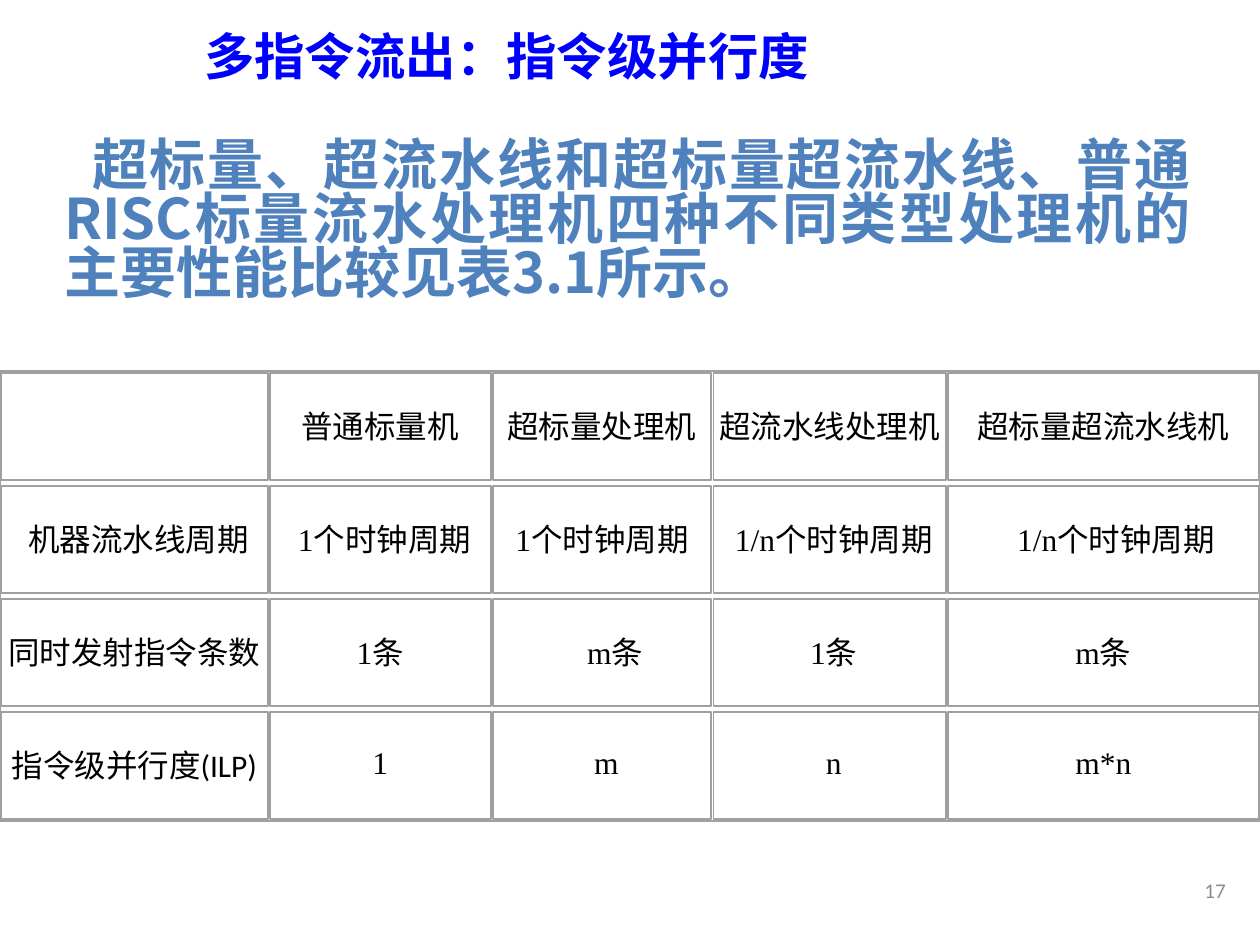
from dataclasses import dataclass
from itertools import accumulate

import pptx
from lxml import etree
from pptx import util as u
from pptx.dml.color import RGBColor
from pptx.enum import shapes, text
from pptx.oxml.ns import qn

COLORS = {
    "title": "0000FF",
    "body": "4F81BD",
    "cell": "000000",
    "border": "A0A0A0",
    "number": "8C8C8C",
}
CHINESE_FONT = "Noto Sans CJK SC"
COLUMN_WIDTHS = (153.5, 127.5, 126, 134, 179)
ROW_HEIGHT = 64.6
TABLE_TOP = 210.5


@dataclass
class Style:
    size: float
    color: str
    name: str = "Calibri"
    bold: bool = False


@dataclass
class Cell:
    chinese: str = ""
    latin: str = ""
    shift: float = 0


TITLE = Style(28.8, "title", bold=True)
BODY = Style(32, "body", CHINESE_FONT, True)
NUMBER = Style(12, "number")
LABEL = Style(18, "cell")
VALUE = Style(18, "cell", "Times New Roman")

ROWS = (
    (Cell(), Cell("普通标量机"), Cell("超标量处理机"), Cell("超流水线处理机"), Cell("超标量超流水线机")),
    (Cell("机器流水线周期", shift=5), Cell("个时钟周期", "1", 5), Cell("个时钟周期", "1"),
     Cell("个时钟周期", "1/n", 5), Cell("个时钟周期", "1/n", 14.5)),
    (Cell("同时发射指令条数"), Cell("条", "1"), Cell("条", "m", 15), Cell("条", "1", 5), Cell("条", "m")),
    (Cell("指令级并行度(ILP)"), Cell(latin="1"), Cell(latin="m", shift=5),
     Cell(latin="n", shift=5), Cell(latin="m*n")),
)


def set_all(target, values: dict) -> None:
    for name, value in values.items():
        setattr(target, name, value)


def add_span(para, words: str, style: Style) -> None:
    span = para.add_run()
    span.text = words
    set_all(span.font, {"size": u.Pt(style.size), "bold": style.bold, "name": style.name})
    span.font.color.rgb = RGBColor.from_string(COLORS[style.color])
    east_asian = etree.SubElement(span.font._element, qn("a:ea"))
    east_asian.set("typeface", CHINESE_FONT)


def fill_box(box, place: tuple, words: str, style: Style, align, anchor):
    set_all(box, dict(zip(("left", "top", "width", "height"), map(u.Pt, place))))
    set_all(box.text_frame, {
        "word_wrap": True,
        "auto_size": text.MSO_AUTO_SIZE.NONE,
        "vertical_anchor": anchor,
    })
    para = box.text_frame.paragraphs[0]
    para.alignment = align
    add_span(para, words, style)
    return para


def add_frame(page, left: float, top: float, width: float, height: float) -> None:
    frame = page.shapes.add_shape(
        shapes.MSO_SHAPE.RECTANGLE, *map(u.Pt, (left, top, width, height)))
    frame.shadow.inherit = False
    frame.fill.background()
    frame.line.color.rgb = RGBColor.from_string(COLORS["border"])
    frame.line.width = u.Pt(1)


def fill_cell(cell, content: Cell) -> None:
    set_all(cell, {
        "margin_left": u.Pt(content.shift),
        "margin_right": 0,
        "margin_top": u.Pt(3.6),
        "margin_bottom": u.Pt(3.6),
        "vertical_anchor": text.MSO_ANCHOR.MIDDLE,
    })
    for side in "LRTB":
        line = etree.SubElement(cell._tc.get_or_add_tcPr(), qn(f"a:ln{side}"))
        etree.SubElement(line, qn("a:noFill"))
    cell.fill.background()
    para = cell.text_frame.paragraphs[0]
    para.alignment = text.PP_ALIGN.CENTER
    for words, style in ((content.latin, VALUE), (content.chinese, LABEL)):
        if words:
            add_span(para, words, style)


def add_comparison(page) -> None:
    holder = page.shapes.add_table(
        len(ROWS), len(COLUMN_WIDTHS), 0, u.Pt(TABLE_TOP),
        u.Pt(sum(COLUMN_WIDTHS)), u.Pt(ROW_HEIGHT * len(ROWS)))
    table = holder.table
    set_all(table, {"first_row": False, "horz_banding": False})
    for column, width in zip(table.columns, COLUMN_WIDTHS):
        column.width = u.Pt(width)
    lefts = tuple(accumulate(COLUMN_WIDTHS, initial=0))
    for index, (row, contents) in enumerate(zip(table.rows, ROWS)):
        row.height = u.Pt(ROW_HEIGHT)
        top = TABLE_TOP + index * ROW_HEIGHT + 2.5
        for cell, content, left, width in zip(row.cells, contents, lefts, COLUMN_WIDTHS):
            fill_cell(cell, content)
            add_frame(page, left + 0.75, top, width - 1.25, ROW_HEIGHT - 3.4)
    add_frame(page, 0, TABLE_TOP + 1.5, sum(COLUMN_WIDTHS), 257)


def main() -> None:
    deck = pptx.Presentation()
    set_all(deck, {"slide_width": u.Pt(720), "slide_height": u.Pt(540)})
    page = deck.slides.add_slide(deck.slide_layouts[5])
    align, anchor = text.PP_ALIGN, text.MSO_ANCHOR

    fill_box(page.shapes.title, (8, 10.5, 563, 42), "多指令流出：指令级并行度",
             TITLE, align.CENTER, anchor.MIDDLE)

    box = page.shapes.add_textbox(0, 0, 0, 0)
    para = fill_box(
        box, (29.5, 78, 658, 111),
        "超标量、超流水线和超标量超流水线、普通RISC标量流水处理机四种不同类型处理机的主要性能比较见表3.1所示。",
        BODY, align.JUSTIFY, anchor.TOP)
    para.line_spacing = 0.8
    para._p.get_or_add_pPr().set("indent", str(u.Pt(16)))

    add_comparison(page)

    box = page.shapes.add_textbox(0, 0, 0, 0)
    fill_box(box, (557.5, 490.5, 150, 36), "17", NUMBER, align.RIGHT, anchor.MIDDLE)
    deck.save("out.pptx")


if __name__ == "__main__":
    main()
